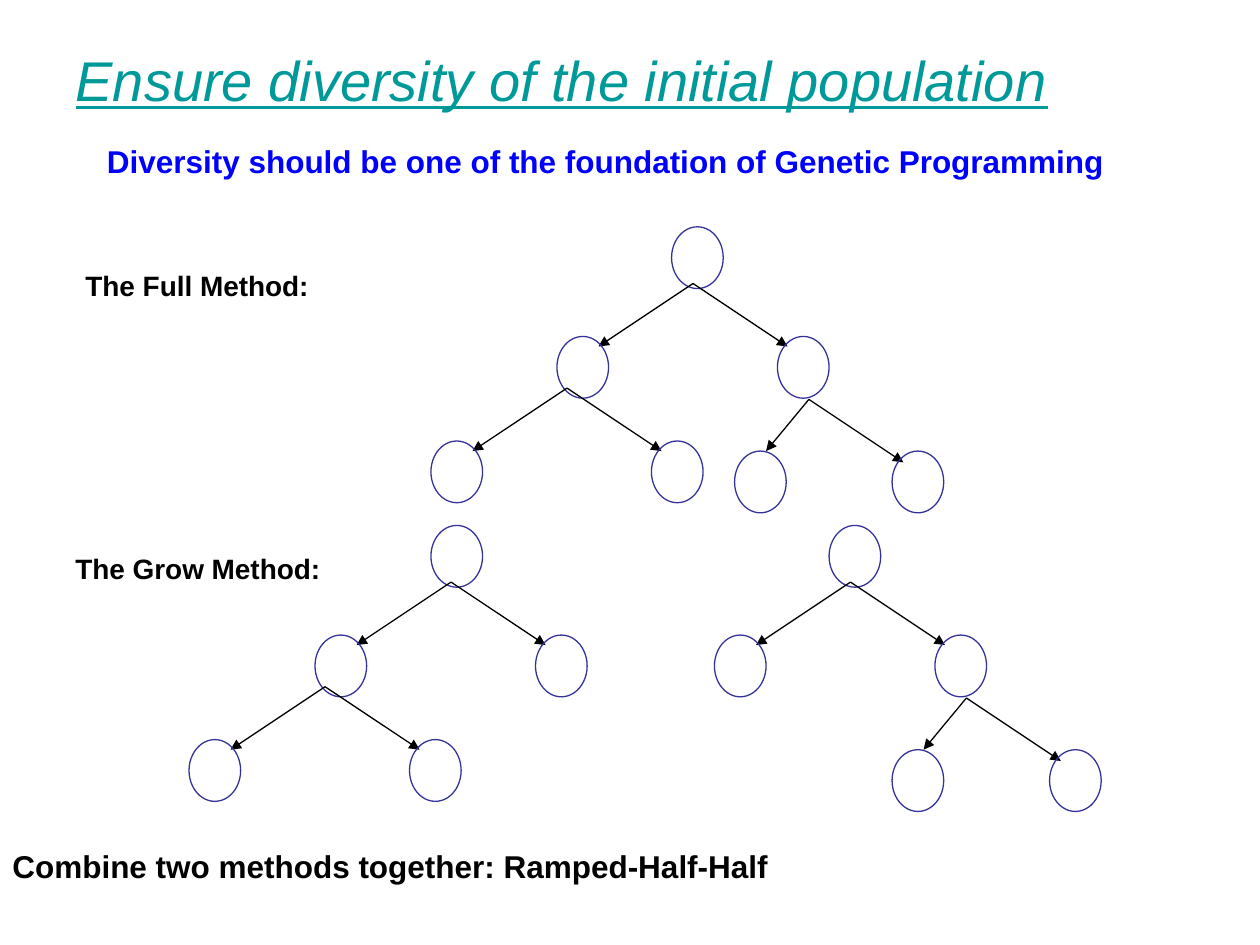
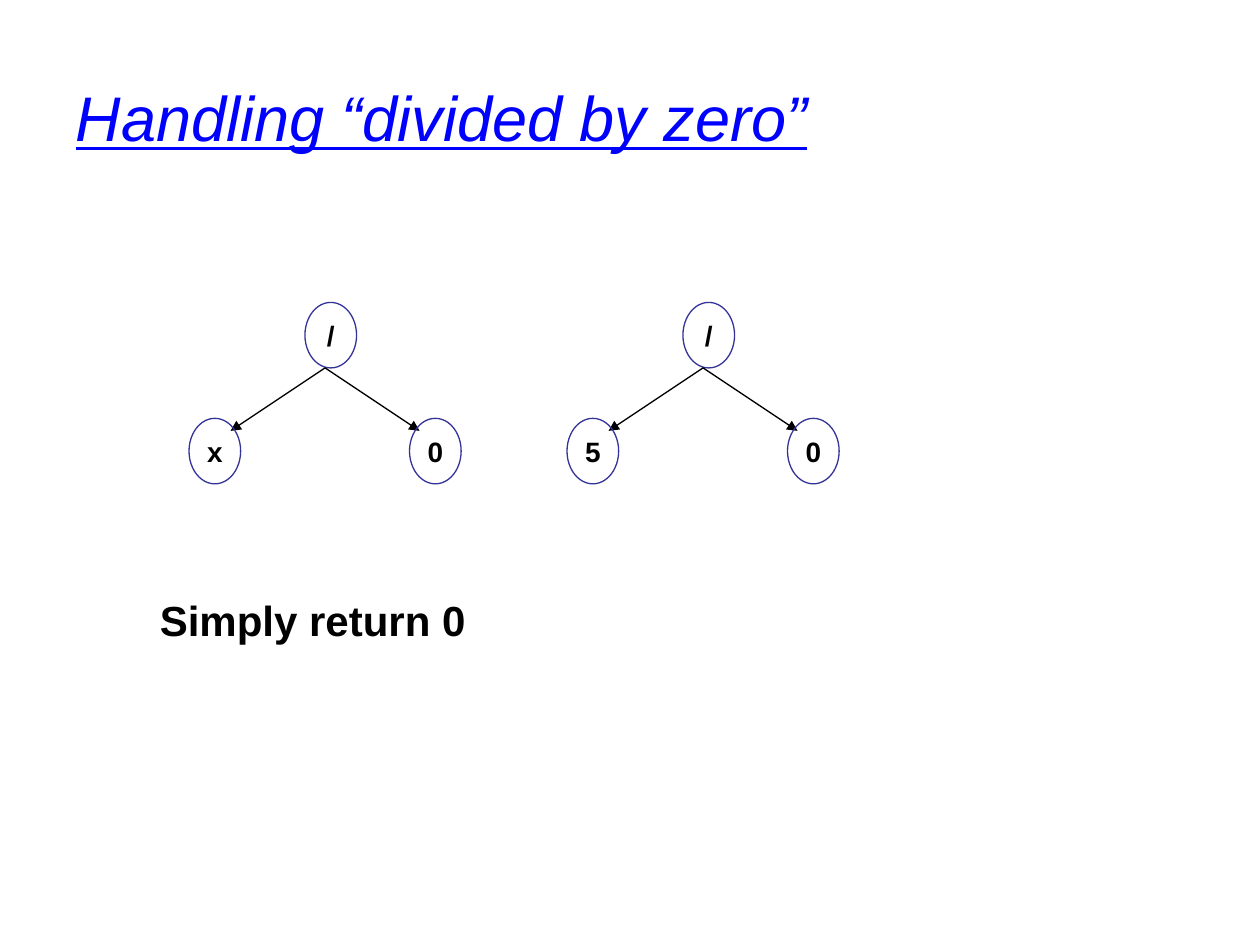
from pptx import Presentation
from pptx.dml.color import RGBColor
from pptx.enum.shapes import MSO_CONNECTOR, MSO_SHAPE
from pptx.enum.text import MSO_ANCHOR, MSO_AUTO_SIZE, PP_ALIGN
from pptx.oxml.ns import qn
from pptx.util import Inches, Pt
from lxml import etree

STRAIGHT = MSO_CONNECTOR.STRAIGHT
OVAL = MSO_SHAPE.OVAL
MIDDLE = MSO_ANCHOR.MIDDLE
NO_AUTOFIT = MSO_AUTO_SIZE.NONE
LEFT, CENTER = PP_ALIGN.LEFT, PP_ALIGN.CENTER

TEAL = RGBColor(0x00, 0x99, 0x99)
BLUE = RGBColor(0x00, 0x00, 0xFF)
BLACK = RGBColor(0x00, 0x00, 0x00)
NODE_BLUE = RGBColor(0x33, 0x33, 0x99)

FONT = "Arial"
NODE_WIDTH = 0.41

# Branches of a fork: arrow dx, dy, then the child's offset from the arrow tip
WIDE = ((-0.75, 0.5, -0.33, -0.08), (0.75, 0.5, -0.08, -0.08))
NARROW = ((-0.34, 0.41, -0.25, 0), (0.75, 0.5, -0.09, -0.09))
LABELLED = ((-0.75, 0.5, -0.33, -0.1), (0.75, 0.5, -0.08, -0.1))


def add_node(slide, left, top, height, label):
    node = slide.shapes.add_shape(
        OVAL, Inches(left), Inches(top), Inches(NODE_WIDTH), Inches(height))
    node.shadow.inherit = False
    node.fill.background()
    node.line.color.rgb = NODE_BLUE
    node.line.width = Pt(0.75)
    if label:
        frame = node.text_frame
        frame.text = label
        frame.word_wrap = False
        frame.vertical_anchor = MIDDLE
        frame.paragraphs[0].alignment = CENTER
        style_font(frame.paragraphs[0].runs[0].font, 16, BLACK, bold=True)


def style_font(font, size, color, bold=False):
    font.name = FONT
    font.size = Pt(size)
    font.color.rgb = color
    font.bold = bold


prs = Presentation()
prs.slide_width = Inches(10)
prs.slide_height = Inches(7.5)
title_only = prs.slide_layouts[5]
diversity = prs.slides.add_slide(title_only)
zero_division = prs.slides.add_slide(title_only)

# Titles
for slide, wording, top, height, size, color in (
    (diversity, "Ensure diversity of the initial population", 0.25, 0.75, 32, TEAL),
    (zero_division, "Handling “divided by zero”", 0.3, 1.25, 36, BLUE),
):
    title = slide.shapes.title
    title.left, title.top = Inches(0.5), Inches(top)
    title.width, title.height = Inches(9), Inches(height)
    frame = title.text_frame
    frame.text = wording
    frame.auto_size = NO_AUTOFIT
    frame.vertical_anchor = MIDDLE
    frame.paragraphs[0].alignment = LEFT
    font = frame.paragraphs[0].runs[0].font
    style_font(font, size, color)
    font.italic = True
    font.underline = True

# Captions
for slide, wording, left, top, width, height, size, color in (
    (diversity, "Diversity should be one of the foundation of Genetic Programming",
     0.75, 1.08, 8.33, 0.4, 18, BLUE),
    (diversity, "The Full Method:", 0.58, 2.08, 3.67, 0.37, 16, BLACK),
    (diversity, "The Grow Method:", 0.5, 4.33, 3.67, 0.37, 16, BLACK),
    (diversity, "Combine two methods together: Ramped-Half-Half",
     0, 6.67, 8.92, 0.4, 18, BLACK),
    (zero_division, "Simply return 0", 1.17, 4.67, 5.58, 0.5, 24, BLACK),
):
    caption = slide.shapes.add_textbox(
        Inches(left), Inches(top), Inches(width), Inches(height))
    frame = caption.text_frame
    frame.word_wrap = True
    frame.text = wording
    style_font(frame.paragraphs[0].runs[0].font, size, color, bold=True)

# Trees: slide, node height, root (left, top, label), forks (x, y, branches, labels)
trees = [
    # Full method
    (diversity, 0.49, (5.33, 1.8, ""),
     [(5.5, 2.25, WIDE, ("", "")), (4.5, 3.08, WIDE, ("", "")),
      (6.42, 3.17, NARROW, ("", ""))]),
    # Grow method
    (diversity, 0.49, (3.42, 4.17, ""),
     [(3.58, 4.62, WIDE, ("", "")), (2.58, 5.45, WIDE, ("", ""))]),
    (diversity, 0.49, (6.58, 4.17, ""),
     [(6.75, 4.62, WIDE, ("", "")), (7.67, 5.54, NARROW, ("", ""))]),
    # Divisions by zero
    (zero_division, 0.52, (2.42, 2.4, "/"), [(2.58, 2.92, LABELLED, ("x", "0"))]),
    (zero_division, 0.52, (5.42, 2.4, "/"), [(5.58, 2.92, LABELLED, ("5", "0"))]),
]
for slide, node_height, (root_left, root_top, root_label), forks in trees:
    add_node(slide, root_left, root_top, node_height, root_label)
    for x, y, branches, labels in forks:
        for (dx, dy, child_dx, child_dy), label in zip(branches, labels):
            tip_x, tip_y = x + dx, y + dy
            arrow = slide.shapes.add_connector(
                STRAIGHT, Inches(x), Inches(y), Inches(tip_x), Inches(tip_y))
            arrow.line.color.rgb = BLACK
            arrow.line.width = Pt(0.75)
            etree.SubElement(arrow.line._get_or_add_ln(), qn("a:tailEnd"), type="triangle")
            etree.SubElement(arrow._element.spPr, qn("a:effectLst"))
            add_node(slide, tip_x + child_dx, tip_y + child_dy, node_height, label)

prs.save("out.pptx")
